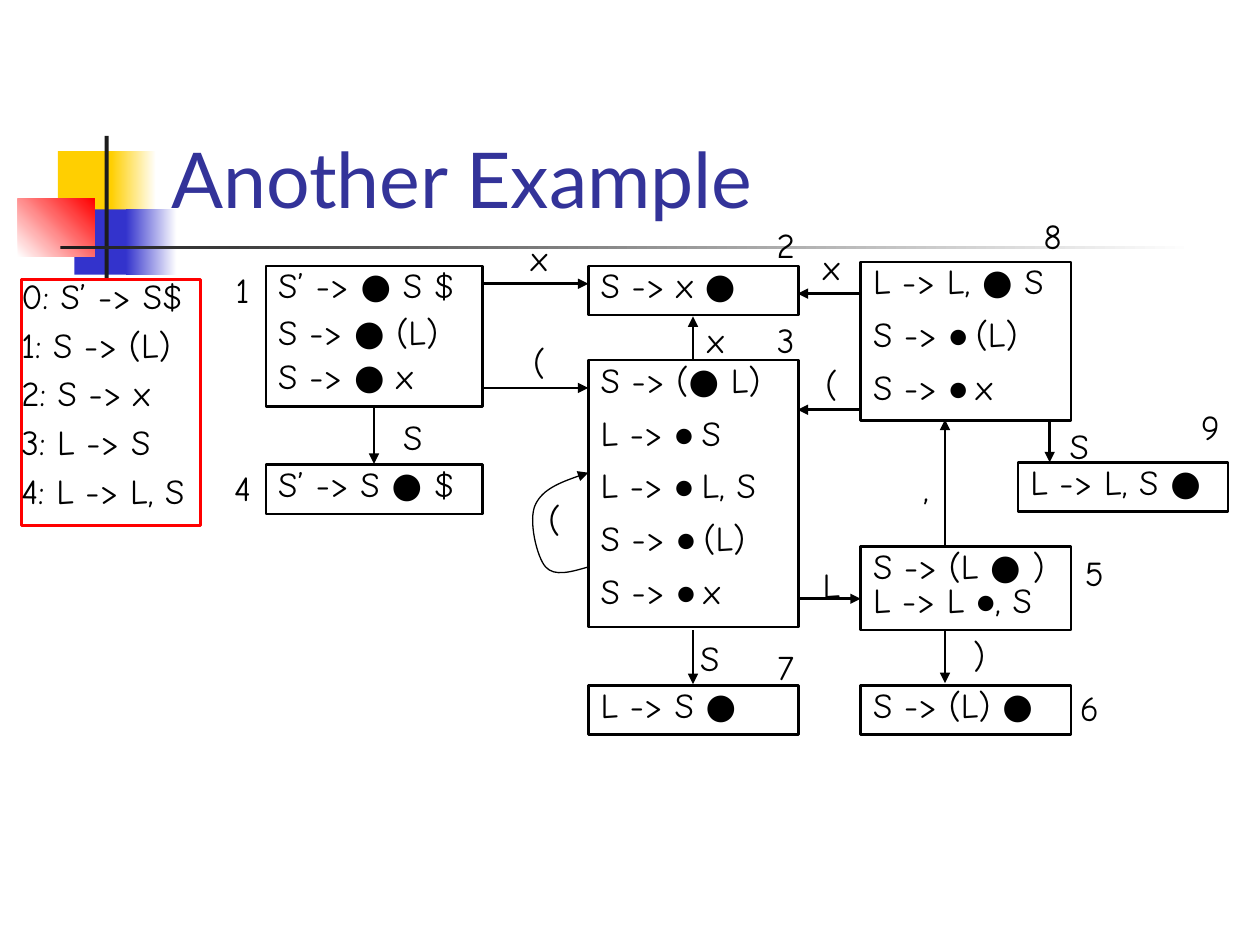
import pptx
import pptx.dml.color
import pptx.enum.shapes
import pptx.enum.text
import pptx.oxml
import pptx.oxml.ns
import pptx.util
from lxml import etree

Cm, Pt = pptx.util.Cm, pptx.util.Pt
RGB = pptx.dml.color.RGBColor.from_string
ANCHOR = pptx.enum.text.MSO_ANCHOR
ALIGN = pptx.enum.text.PP_ALIGN
RECTANGLE = pptx.enum.shapes.MSO_SHAPE.RECTANGLE
STRAIGHT = pptx.enum.shapes.MSO_CONNECTOR.STRAIGHT
qn = pptx.oxml.ns.qn

COLORS = {"yellow": "FFCF01", "blue": "3333CC", "red": "FF0000", "dark": "1C1C1C",
          "white": "FFFFFF", "black": "000000", "title": "333399"}
HAND, SANS = "Comic Neue", "Lato"

prs = pptx.Presentation()
prs.slide_width, prs.slide_height = Cm(25.4), Cm(19.05)
slide = prs.slides.add_slide(prs.slide_layouts[6])
shapes = slide.shapes


def write(shape, lines, spacings, align, font=HAND, size=20, color="black"):
    """Fill a shape with paragraphs; text between bars is set in the small dot style."""
    frame = shape.text_frame
    for i, (line, spacing) in enumerate(zip(lines, spacings)):
        paragraph = frame.paragraphs[0] if i == 0 else frame.add_paragraph()
        paragraph.alignment = align
        paragraph.line_spacing = spacing
        if i:
            paragraph.space_before = Pt(11)
        paragraph.font.name, paragraph.font.size = font, Pt(size)
        paragraph.font.color.rgb = RGB(COLORS[color])
        for j, part in enumerate(line.split("|")):
            run = paragraph.add_run()
            run.text = part
            if j % 2:
                run.font.name, run.font.size = SANS, Pt(18)


def add_arrowhead(line_shape):
    line = line_shape.line
    line.color.rgb = RGB(COLORS["black"])
    etree.SubElement(line._get_or_add_ln(), qn("a:tailEnd"), type="triangle")


# Decoration: left, top, width, height, start colour, end colour, angle
decoration = [
    (1.17, 3.05, 1.22, 1.32, "yellow", None, 0),
    (2.24, 3.05, 0.91, 1.32, "yellow", "white", 0),
    (1.5, 4.22, 1.17, 1.32, "blue", None, 0),
    (2.54, 4.22, 1.02, 1.32, "blue", "white", 0),
    (0.36, 4.01, 1.55, 1.17, "white", "red", 45),
    (2.11, 2.74, 0.08, 2.92, "dark", None, 0),
    (1.22, 4.95, 22.86, 0.08, "dark", "white", 0),
]
for left, top, width, height, start, end, angle in decoration:
    block = shapes.add_shape(RECTANGLE, Cm(left), Cm(top), Cm(width), Cm(height))
    block.shadow.inherit = False
    block.line.fill.background()
    if end:
        block.fill.gradient()
        block.fill.gradient_angle = angle
        for stop, name in zip(block.fill.gradient_stops, (start, end)):
            stop.color.rgb = RGB(COLORS[name])
    else:
        block.fill.solid()
        block.fill.fore_color.rgb = RGB(COLORS[start])

title = shapes.add_textbox(Cm(3.2), Cm(0.58), Cm(21.64), Cm(4.06))
title.text_frame.word_wrap = True
title.text_frame.vertical_anchor = ANCHOR.BOTTOM
write(title, ["Another Example"], [1.0], ALIGN.LEFT, SANS, 44, "title")

# Grammar and parser states: left, top, width, height, outline, side inset, spacings, lines
FIRST, MIDDLE, RIGHT = 5.36, 11.86, 17.35
WIDE, WIDTH, LOW = 4.37, 4.24, 0.99
EVEN = [0.8] * 5
boxes = [
    (0.43, 5.64, 3.61, 4.95, "red", 0, [0.7] * 5,
     ["0: S’ -> S$", "1: S -> (L)", "2: S -> x", "3: L -> S", "4: L -> L, S"]),
    (FIRST, 5.36, WIDE, 2.84, "black", 0.25, [0.8, 0.6, 0.6],
     ["S’ -> ● S $", "S -> ● (L)", "S -> ● x"]),
    (FIRST, 9.37, WIDE, LOW, "black", 0.25, EVEN, ["S’ -> S ● $"]),
    (MIDDLE, 5.36, WIDTH, LOW, "black", 0.25, EVEN, ["S -> x ●"]),
    (MIDDLE, 7.26, WIDTH, 5.38, "black", 0.25, EVEN,
     ["S -> (● L)", "L -> |● |S", "L -> |● |L, S", "S -> |● |(L)", "S -> |● |x"]),
    (MIDDLE, 13.82, WIDTH, LOW, "black", 0.25, EVEN, ["L -> S ●"]),
    (RIGHT, 11.02, WIDTH, 1.68, "black", 0.25, EVEN, ["S -> (L ● ) L -> L |●|, S"]),
    (RIGHT, 13.82, WIDTH, LOW, "black", 0.25, EVEN, ["S -> (L) ●"]),
    (RIGHT, 5.28, WIDTH, 3.2, "black", 0.25, EVEN,
     ["L -> L, ● S", "S -> |● |(L)", "S -> |● |x"]),
    (20.52, 9.32, WIDTH, LOW, "black", 0.25, EVEN, ["L -> L, S ●"]),
]
for left, top, width, height, outline, inset, spacings, lines in boxes:
    state = shapes.add_shape(RECTANGLE, Cm(left), Cm(top), Cm(width), Cm(height))
    state.shadow.inherit = False
    state.fill.background()
    state.line.color.rgb = RGB(COLORS[outline])
    state.line.width = Pt(1.5)
    frame = state.text_frame
    frame.vertical_anchor = ANCHOR.TOP
    frame.margin_left = frame.margin_right = Cm(inset)
    write(state, lines, spacings, ALIGN.LEFT)

# Transitions: from x, from y, to x, to y
arrows = [
    (7.54, 8.23, 7.54, 9.35), (9.73, 5.72, MIDDLE, 5.72), (9.73, 7.82, MIDDLE, 7.82),
    (13.97, 12.7, 13.97, 13.79), (13.97, 7.24, 13.97, 6.38),
    (16.08, 12.07, RIGHT, 12.07), (RIGHT, 5.92, 16.08, 5.92), (RIGHT, 8.26, 16.08, 8.26),
    (19.05, 11, 19.05, 8.46), (19.05, 12.7, 19.05, 13.77), (21.16, 8.46, 21.16, 9.32),
]
for ends in arrows:
    arrow = shapes.add_connector(STRAIGHT, *(Cm(end) for end in ends))
    arrow.line.width = Pt(1.5)
    add_arrowhead(arrow)
    etree.SubElement(arrow._element.spPr, qn("a:effectLst"))

# Self-loop of state 3: every three points form one Bezier segment
loop_points = [(11.51, 11.53), (11.18, 11.63), (11, 11.43),
               (10.82, 11.23), (10.64, 10.46), (10.8, 10.16),
               (10.95, 9.86), (11.4, 9.68), (11.86, 9.53)]
builder = shapes.build_freeform(Cm(11.86), Cm(11.43))
builder.add_line_segments([(Cm(x), Cm(y)) for x, y in loop_points], close=False)
loop = builder.convert_to_shape()
loop.shadow.inherit = False
loop.fill.background()
loop.line.width = Pt(0.75)
add_arrowhead(loop)
segments = list(loop._element.iter(qn("a:lnTo")))
for i in range(0, len(segments), 3):
    curve = etree.SubElement(segments[i].getparent(), qn("a:cubicBezTo"))
    for segment in segments[i:i + 3]:
        curve.append(segment[0])
        segment.getparent().remove(segment)

# State numbers and transition symbols: text, centre, top
labels = [
    ("1", 4.89, 5.28), ("2", 15.84, 4.39), ("3", 15.84, 6.3), ("4", 4.89, 9.27),
    ("5", 22.06, 11), ("6", 21.96, 13.72), ("7", 15.84, 12.88), ("8", 21.22, 4.19),
    ("9", 24.4, 8.05), ("S", 8.32, 8.26), ("x", 10.87, 4.65), ("(", 10.87, 6.73),
    ("S", 14.31, 12.7), ("(", 11.18, 9.91), ("x", 14.43, 6.3), ("S", 21.76, 8.43),
    (",", 18.67, 9.27), (")", 19.74, 12.65), ("x", 16.76, 4.83), ("(", 16.76, 7.19),
    ("L", 16.76, 11.23),
]
for text, center, top in labels:
    label = shapes.add_textbox(Cm(center - 0.5), Cm(top), Cm(1), Cm(1.09))
    label.text_frame.word_wrap = False
    write(label, [text], [1.0], ALIGN.CENTER)

prs.save("out.pptx")
